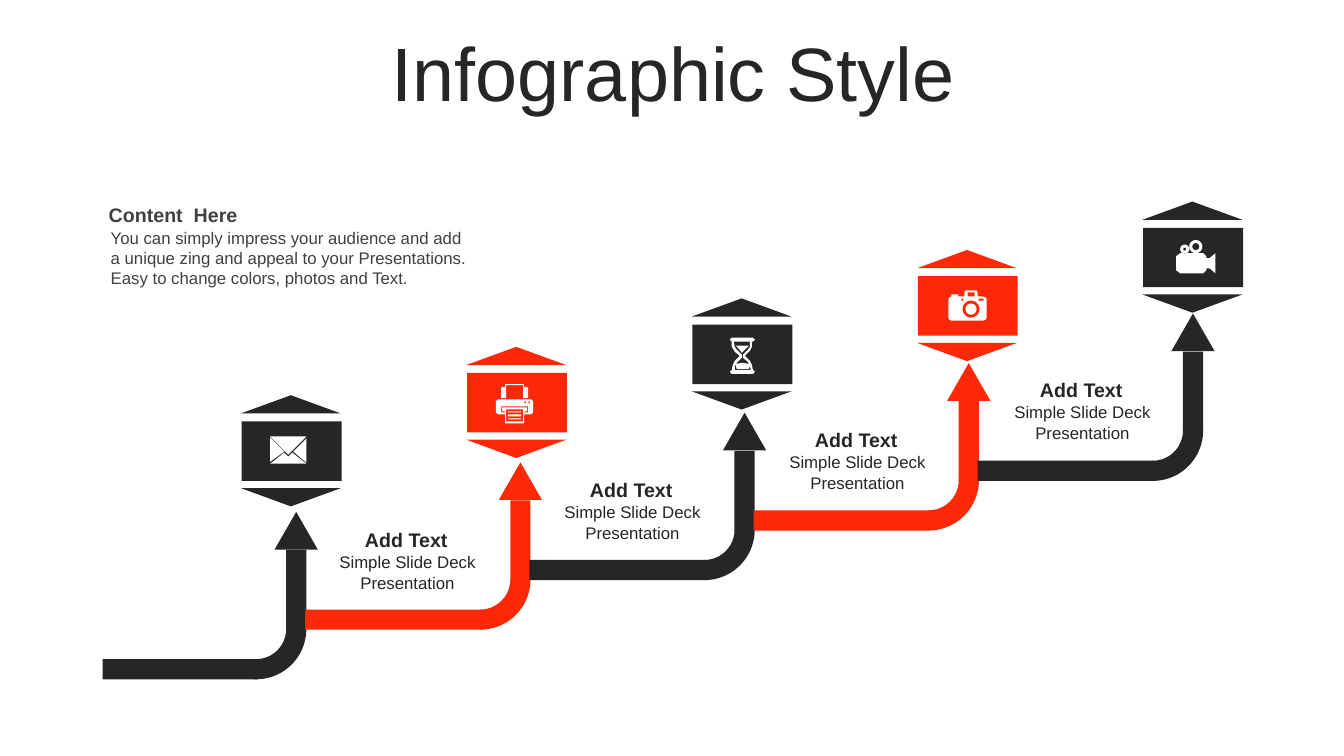
import dataclasses
import math

import pptx
import pptx.dml.color
import pptx.enum.shapes
import pptx.enum.text
import pptx.util

Cm = pptx.util.Cm
Pt = pptx.util.Pt
MSO = pptx.enum.shapes.MSO_SHAPE
ANCHOR = pptx.enum.text.MSO_ANCHOR
ALIGN = pptx.enum.text.PP_ALIGN
FIT = pptx.enum.text.MSO_AUTO_SIZE


@dataclasses.dataclass(frozen=True)
class Theme:
    dark: str = "262626"
    accent: str = "FD2906"
    gray: str = "404040"
    white: str = "FFFFFF"
    font: str = "Arial"
    title: int = 54
    heading: int = 14
    body: int = 12


theme = Theme()

prs = pptx.Presentation()
prs.slide_width = Cm(33.87)
prs.slide_height = Cm(19.05)
slide = prs.slides.add_slide(prs.slide_layouts[5])


def add_shape(kind, left, top, width, height, color, rotation=0):
    sp = slide.shapes.add_shape(kind, Cm(left), Cm(top), Cm(width), Cm(height))
    sp.shadow.inherit = False
    sp.fill.solid()
    sp.fill.fore_color.rgb = pptx.dml.color.RGBColor.from_string(color)
    sp.line.fill.background()
    sp.rotation = rotation
    return sp


def add_text(sp, left, top, width, height, text, size, color, align, bold=False):
    sp.left, sp.top, sp.width, sp.height = Cm(left), Cm(top), Cm(width), Cm(height)
    tf = sp.text_frame
    tf.word_wrap = True
    tf.text = text
    p = tf.paragraphs[0]
    p.alignment = align
    p.font.name = theme.font
    p.font.size = Pt(size)
    p.font.bold = bold
    p.font.color.rgb = pptx.dml.color.RGBColor.from_string(color)
    return tf


tf = add_text(slide.shapes.title, 0.89, 0.94, 32.16, 2.01, "Infographic Style",
              theme.title, theme.dark, ALIGN.CENTER)
tf.auto_size = FIT.NONE
tf.vertical_anchor = ANCHOR.MIDDLE
tf.paragraphs[0].line_spacing = 0.9

colors = [theme.dark, theme.accent, theme.dark, theme.accent, theme.dark]
for i, color in enumerate(colors):
    left, top = 6.07 + 5.68 * i, 9.96 - 1.22 * i
    add_shape(MSO.RECTANGLE, left + 0.02, top + 0.66, 2.52, 1.5, color)
    add_shape(MSO.ISOSCELES_TRIANGLE, left, top, 2.52, 0.46, color)
    add_shape(MSO.ISOSCELES_TRIANGLE, left, top + 2.34, 2.52, 0.46, color, 180)

    bend_x, bend_y = 5.18 + 5.65 * i, 14.58 - 1.25 * i
    start = bend_x - 3.14 if i else 2.59
    add_shape(MSO.RECTANGLE, start, bend_y + 2.03, bend_x + 1.3 - start, 0.51, color)
    bend = add_shape(MSO.BLOCK_ARC, bend_x, bend_y, 2.54, 2.54, color, 90)
    bend.adjustments[0] = 161.7
    bend.adjustments[1] = 0.5
    bend.adjustments[2] = 0.2
    add_shape(MSO.RECTANGLE, bend_x + 2.03, bend_y - 0.72, 0.51, 2.01, color)
    add_shape(MSO.ISOSCELES_TRIANGLE, bend_x + 1.74, bend_y - 1.68, 1.09, 0.95, color)

labels = []
for i in range(4):
    left, top = 7.85 + 5.67 * i, 13.18 - 1.26 * i
    labels += [
        (left, top, 4.78, 0.86, "Add Text", theme.heading, theme.dark, ALIGN.CENTER, True),
        (left + 0.03, top + 0.61, 4.78, 1.27, "Simple Slide Deck Presentation",
         theme.body, theme.dark, ALIGN.CENTER),
    ]
labels += [
    (2.49, 4.98, 9.58, 0.86, "Content  Here", theme.heading, theme.gray, ALIGN.LEFT, True),
    (2.54, 5.61, 9.55, 1.8,
     "You can simply impress your audience and add a unique zing and appeal to your "
     "Presentations. Easy to change colors, photos and Text.",
     theme.body, theme.gray, ALIGN.LEFT),
]
for label in labels:
    tf = add_text(slide.shapes.add_textbox(0, 0, 0, 0), *label)
    tf.auto_size = FIT.SHAPE_TO_FIT_TEXT

# Outlines: a list is a polygon, four numbers a box, three numbers a circle.
envelope = [
    [(22, 16), (36, 27), (0, 27), (14, 16), (18, 20)],
    [(36, 2), (36, 26), (23, 15)],
    [(0, 1), (14, 15), (0, 25)],
    [(0, 0), (36, 0), (18, 18)],
]
printer = [
    (12, 34, 25, 35), (12, 30, 25, 32), (12, 27, 25, 28), (10, 25, 27, 37),
    (33, 18, 1), (29, 18, 1),
    [(5, 22), (5, 28), (9, 28), (9, 27), (6, 27), (6, 23), (31, 23), (31, 27),
     (28, 27), (28, 28), (32, 28), (32, 22)],
    [(2, 15), (35, 15), (37, 17), (37, 28), (35, 30), (28, 30), (28, 39), (9, 39),
     (9, 30), (2, 30), (0, 28), (0, 17)],
    [(9, 0), (28, 0), (28, 3), (31, 3), (32, 4), (32, 14), (27, 14), (27, 1),
     (10, 1), (10, 14), (5, 14), (5, 4), (6, 3), (9, 3)],
]
hourglass = [
    [(13, 25), (19, 26), (20, 28), (19, 31), (7, 31), (6, 28), (6, 26)],
    [(6, 8), (19, 8), (17, 10), (12, 15), (8, 10)],
    [(4, 4), (5, 9), (7, 12), (12, 17), (12, 20), (7, 25), (5, 28), (5, 32), (21, 32),
     (20, 28), (18, 24), (13, 20), (13, 17), (18, 12), (20, 9), (20, 4)],
    [(2, 0), (23, 0), (25, 2), (23, 4), (22, 4), (22, 9), (20, 13), (15, 18), (20, 23),
     (22, 27), (23, 32), (25, 34), (23, 36), (2, 36), (0, 34), (2, 32), (3, 27),
     (5, 23), (10, 18), (5, 14), (2, 9), (2, 4), (0, 2)],
]
camera = [
    (22.5, 18.5, 5.5), (22.5, 18.5, 8.5),
    (13, 8, 15, 10), (30, 8, 35, 10), (19, 2, 26, 6),
    [(17, 0), (28, 0), (29, 2), (29, 6), (34, 6), (37, 7), (38, 9), (38, 27), (37, 29),
     (34, 30), (3, 30), (1, 29), (0, 27), (0, 9), (1, 7), (3, 6), (3, 4), (10, 4),
     (10, 6), (16, 6), (16, 2)],
]
video = [
    (8.5, 9, 1.5), (8.5, 9, 4.5), (19.5, 6.5, 3.5), (19.5, 6.5, 6.5),
    [(4, 13), (27, 13), (30, 16), (30, 18), (33, 18), (39, 13), (39, 33), (33, 28),
     (30, 28), (30, 30), (27, 33), (4, 33), (0, 30), (0, 16)],
]
icons = [
    (envelope, 6.81, 11), (printer, 12.5, 9.68), (hourglass, 18.39, 8.51),
    (camera, 23.9, 7.32), (video, 29.64, 6.05),
]
for outlines, left, top in icons:
    fb = None
    for outline in outlines:
        points = outline
        if len(outline) == 4 and isinstance(outline, tuple):
            x1, y1, x2, y2 = outline
            points = [(x1, y1), (x2, y1), (x2, y2), (x1, y2)]
        elif isinstance(outline, tuple):
            x, y, radius = outline
            angles = [math.radians(15 * k) for k in range(24)]
            points = [(x + radius * math.cos(a), y + radius * math.sin(a)) for a in angles]
        points = [(10 * x, 10 * y) for x, y in points]
        if fb is None:
            fb = slide.shapes.build_freeform(*points[0], scale=Cm(2.54) / 1000)
        else:
            fb.move_to(*points[0])
        fb.add_line_segments(points[1:], close=True)
    sp = fb.convert_to_shape(Cm(left), Cm(top))
    sp.shadow.inherit = False
    sp.fill.solid()
    sp.fill.fore_color.rgb = pptx.dml.color.RGBColor.from_string(theme.white)
    sp.line.fill.background()

prs.save("out.pptx")
